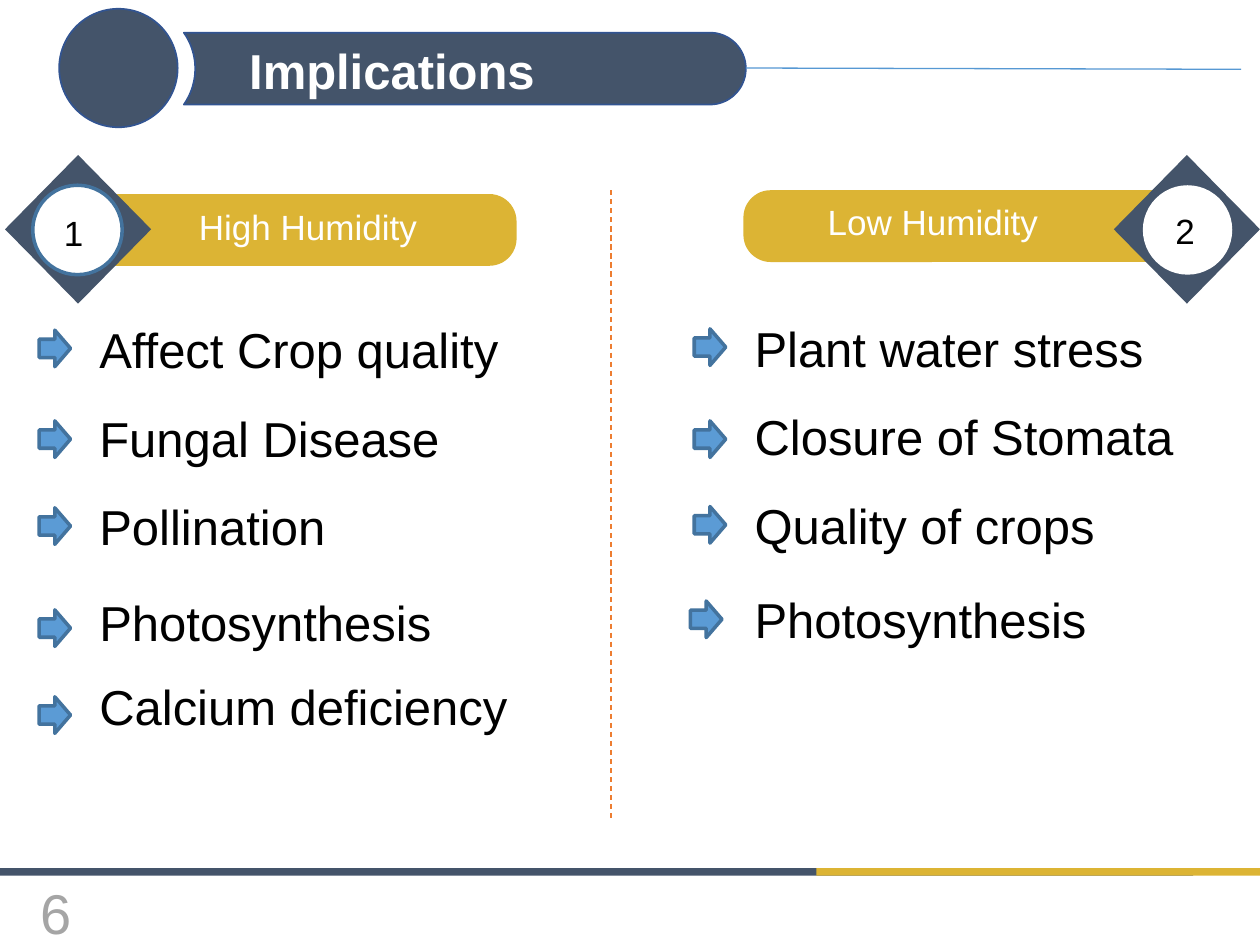
"""Build the Implications slide, which sets high against low humidity."""
from dataclasses import dataclass
from math import asin, cos, hypot, pi, sin
from typing import Optional

from lxml.etree import SubElement as SubEl
from pptx import Presentation as Deck
from pptx.dml.color import RGBColor as Rgb
from pptx.enum.dml import MSO_LINE as Dash
from pptx.enum.shapes import MSO_CONNECTOR as Link, MSO_SHAPE as Kind
from pptx.enum.text import MSO_ANCHOR as Anchor, PP_ALIGN as Align
from pptx.oxml.ns import qn
from pptx.shapes.autoshape import Shape
from pptx.slide import Slide
from pptx.util import Inches, Pt


@dataclass(frozen=True)
class Theme:
    """Colours, font and type sizes."""
    navy: str = "44546A"
    gold: str = "DCB434"
    edge: str = "325491"
    sky: str = "5B9BD5"
    rim: str = "43739E"
    rule: str = "5698D3"
    split: str = "ED7D31"
    gray: str = "A5A5A5"
    white: str = "FFFFFF"
    black: str = "000000"
    font: str = "Arial"
    page: int = 32
    large: int = 28
    small: int = 20


@dataclass(frozen=True)
class Box:
    """A place on the slide in inches."""
    x: float
    y: float
    w: float
    h: float

    def spans(self) -> list:
        return [Inches(v) for v in (self.x, self.y, self.w, self.h)]


@dataclass(frozen=True)
class Item:
    """A list line with its arrow place."""
    text: str
    top: float
    tip: float
    shift: float = 0
    wide: float = 3.49


@dataclass(frozen=True)
class Side:
    """One half of the slide."""
    mark: str
    title: str
    bar: Box
    gem: float
    disc: float
    mark_at: Box
    title_at: Box
    rim: Optional[str]
    left: float
    items: tuple


T = Theme()
SIDES = (
    Side("1", "High Humidity", Box(0.61, 1.54, 3.49, 0.57), 0.04, 0.26,
         Box(0.41, 1.63, 0.56, 0.44), Box(1.48, 1.58, 2.33, 0.44), T.rim, 0.31, (
             Item("Affect Crop quality", 2.49, 2.62),
             Item("Fungal Disease", 3.19, 3.34),
             Item("Pollination", 3.89, 4.03),
             Item("Photosynthesis", 4.65, 4.84),
             Item("Calcium deficiency", 5.32, 5.53))),
    Side("2", "Low Humidity", Box(5.9, 1.51, 3.49, 0.57), 8.84, 9.07,
         Box(9.23, 1.61, 0.56, 0.44), Box(6.47, 1.54, 2.33, 0.44), None, 5.51, (
             Item("Plant water stress", 2.48, 2.61),
             Item("Closure of Stomata", 3.18, 3.34, wide=3.95),
             Item("Quality of crops", 3.88, 4.02),
             Item("Photosynthesis", 4.63, 4.77, shift=-0.03))),
)


def paint(shape: Shape, fill: str, line: Optional[str] = None, width: float = 1) -> Shape:
    """Give a shape a flat fill and an optional outline."""
    shape.shadow.inherit = False
    shape.fill.solid()
    shape.fill.fore_color.rgb = Rgb.from_string(fill)
    if line:
        shape.line.color.rgb = Rgb.from_string(line)
        shape.line.width = Pt(width)
    else:
        shape.line.fill.background()
    return shape


def draw(slide: Slide, kind: Kind, box: Box, fill: str,
         line: Optional[str] = None, width: float = 1) -> Shape:
    """Add a painted preset shape."""
    return paint(slide.shapes.add_shape(kind, *box.spans()), fill, line, width)


def write(slide: Slide, text: str, box: Box, *, size: int, color: str = T.black,
          bold: bool = False, align: Align = Align.LEFT,
          anchor: Anchor = Anchor.TOP, right: float = 0.1) -> None:
    """Add a line of text in a box."""
    frame = slide.shapes.add_textbox(*box.spans()).text_frame
    frame.word_wrap = True
    frame.vertical_anchor = anchor
    frame.margin_right = Inches(right)
    para = frame.paragraphs[0]
    para.alignment = align
    run = para.add_run()
    run.text = text
    run.font.name, run.font.size, run.font.bold = T.font, Pt(size), bold
    run.font.color.rgb = Rgb.from_string(color)


def rule(slide: Slide, start: tuple, end: tuple, color: str,
         dash: Optional[Dash] = None) -> None:
    """Add a thin straight line."""
    ends = [Inches(v) for v in (*start, *end)]
    link = slide.shapes.add_connector(Link.STRAIGHT, *ends)
    link.line.color.rgb = Rgb.from_string(color)
    link.line.width = Pt(0.75)
    if dash:
        link.line.dash_style = dash
    SubEl(link._element.spPr, qn("a:effectLst"))


def arc(x: float, y: float, size: float, start: float, end: float) -> list:
    """List points along an arc."""
    steps = 48
    turns = [start + (end - start) * i / steps for i in range(steps + 1)]
    return [(Inches(x + size * cos(t)), Inches(y + size * sin(t))) for t in turns]


def banner(slide: Slide) -> None:
    """Draw the title bar with a round end and a hollow start."""
    left, right, mid, half, bulge = 1.46, 5.92, 0.545, 0.285, 0.09
    size = hypot(half, bulge) ** 2 / (2 * bulge)
    bend = asin(half / size)
    cap = arc(right - half, mid, half, -pi / 2, pi / 2)
    notch = arc(left + bulge - size, mid, size, bend, -bend)
    first, *rest = cap + notch
    form = slide.shapes.build_freeform(*first)
    form.add_line_segments(rest, close=True)
    paint(form.convert_to_shape(), T.navy, T.edge)
    draw(slide, Kind.OVAL, Box(0.47, 0.07, 0.94, 0.94), T.navy, T.edge)
    write(slide, "Implications", Box(1.88, 0.27, 3.86, 0.57),
          size=T.large, color=T.white, bold=True)
    rule(slide, (right, 0.54), (9.85, 0.55), T.rule)


def footer(slide: Slide) -> None:
    """Draw the two-tone strip and the page number."""
    draw(slide, Kind.RECTANGLE, Box(0, 6.89, 9.47, 0.06), T.navy)
    draw(slide, Kind.RECTANGLE, Box(6.48, 6.89, 3.52, 0.06), T.gold)
    write(slide, "6", Box(0.22, 7.04, 0.4, 0.4), size=T.page, color=T.gray,
          align=Align.RIGHT, anchor=Anchor.MIDDLE, right=0.05)


def column(slide: Slide, side: Side) -> None:
    """Draw one heading and its list."""
    bar = draw(slide, Kind.ROUNDED_RECTANGLE, side.bar, T.gold)
    bar.adjustments[0] = 0.38
    draw(slide, Kind.DIAMOND, Box(side.gem, 1.23, 1.16, 1.18), T.navy)
    draw(slide, Kind.OVAL, Box(side.disc, 1.47, 0.71, 0.71), T.white, side.rim, 2)
    write(slide, side.mark, side.mark_at, size=T.small)
    write(slide, side.title, side.title_at, size=T.small, color=T.white)
    for item in side.items:
        write(slide, item.text, Box(side.left + 0.38, item.top, item.wide, 0.57),
              size=T.large)
        draw(slide, Kind.RIGHT_ARROW, Box(side.left + item.shift, item.tip, 0.25, 0.29),
             T.sky, T.rim, 2)


def main() -> None:
    """Build and save the deck."""
    deck = Deck()
    deck.slide_width, deck.slide_height = Inches(10), Inches(7.5)
    slide = deck.slides.add_slide(deck.slide_layouts[6])
    footer(slide)
    banner(slide)
    rule(slide, (4.85, 1.51), (4.85, 6.52), T.split, Dash.DASH)
    for side in SIDES:
        column(slide, side)
    deck.save("out.pptx")


if __name__ == "__main__":
    main()
